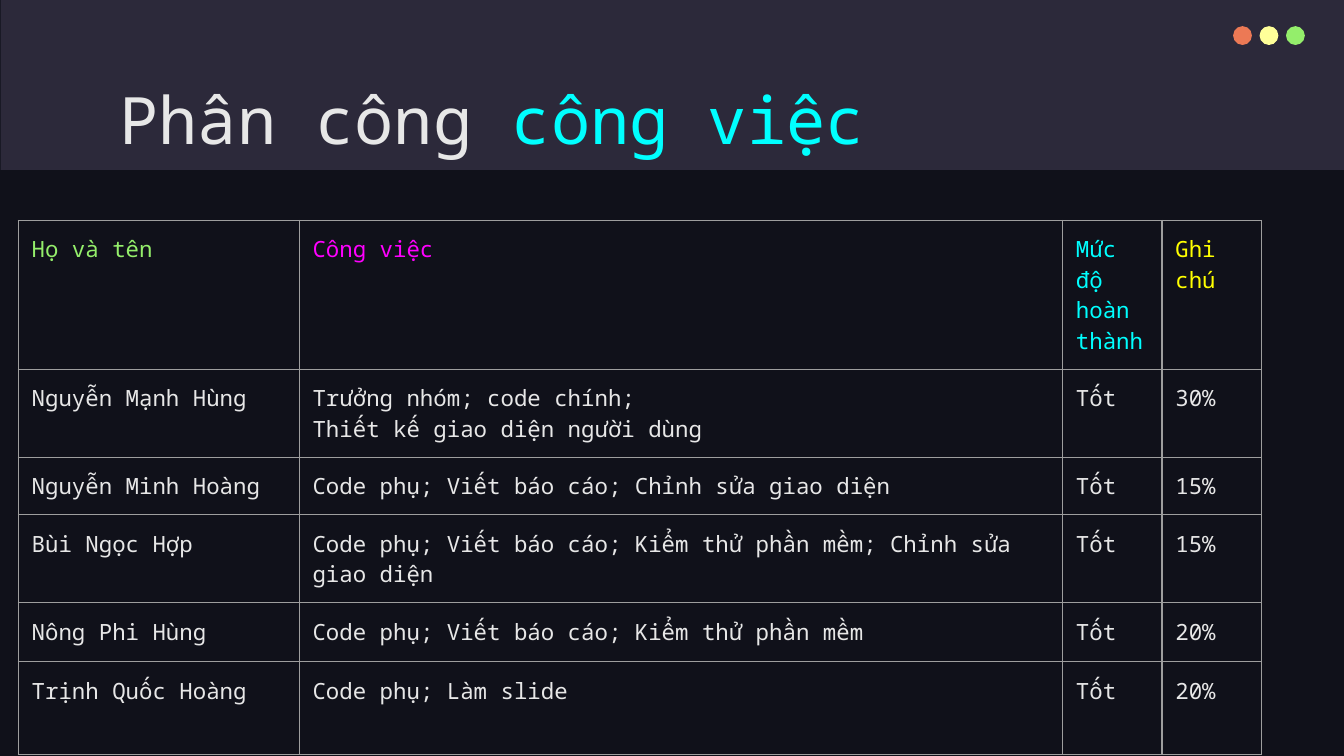
from lxml.etree import SubElement
from pptx import Presentation
from pptx.dml.color import RGBColor
from pptx.enum.shapes import MSO_SHAPE
from pptx.enum.text import MSO_ANCHOR
from pptx.oxml.ns import qn
from pptx.util import Inches, Pt

COLORS = {
    "background": "10111A", "band": "2C293A", "text": "E7E7E7", "border": "9E9E9E",
    "orange": "EC7955", "cream": "FFFF99", "green": "94EE6B",
    "cyan": "00FFFF", "magenta": "FF00FF", "yellow": "FFFF00",
}
GRID_COLUMNS, GRID_ROWS = 100, 56.25
HEADERS = [
    ("Họ và tên", "green"), ("Công việc", "magenta"),
    ("Mức độ\nhoàn thành", "cyan"), ("Ghi chú", "yellow"),
]
MEMBERS = [
    ("Nguyễn Mạnh Hùng", "Trưởng nhóm; code chính;\nThiết kế giao diện người dùng", "30%"),
    ("Nguyễn Minh Hoàng", "Code phụ; Viết báo cáo; Chỉnh sửa giao diện", "15%"),
    ("Bùi Ngọc Hợp", "Code phụ; Viết báo cáo; Kiểm thử phần mềm; Chỉnh sửa giao diện", "15%"),
    ("Nông Phi Hùng", "Code phụ; Viết báo cáo; Kiểm thử phần mềm", "20%"),
    ("Trịnh Quốc Hoàng", "Code phụ; Làm slide", "20%"),
]


class SlideBuilder:
    """Holds the style and the current slide, with lengths in grid columns and rows."""

    def __init__(self, presentation):
        self.column = presentation.slide_width / GRID_COLUMNS
        self.row = presentation.slide_height / GRID_ROWS
        self.font_name = "Noto Sans Mono"
        self.margins = {f"margin_{side}": Inches(0.1) for side in ("left", "right", "top", "bottom")}
        self.slide = presentation.slides.add_slide(presentation.slide_layouts[6])
        self.paint(self.slide.background.fill, "background")

    def place(self, left, top, width, height):
        return (round(left * self.column), round(top * self.row),
                round(width * self.column), round(height * self.row))

    def paint(self, fill, color):
        fill.solid()
        fill.fore_color.rgb = RGBColor.from_string(COLORS[color])

    def apply(self, target, values):
        for name, value in values.items():
            setattr(target, name, value)

    def style(self, font, size, color):
        self.apply(font, {"name": self.font_name, "size": Pt(size)})
        font.color.rgb = RGBColor.from_string(COLORS[color])

    def shape(self, kind, box, color):
        shape = self.slide.shapes.add_shape(kind, *self.place(*box))
        shape.shadow.inherit = False
        shape.line.fill.background()
        self.paint(shape.fill, color)

    def title(self, box, parts, size):
        frame = self.slide.shapes.add_textbox(*self.place(*box)).text_frame
        self.apply(frame, {"word_wrap": True, "vertical_anchor": MSO_ANCHOR.TOP, **self.margins})
        for text, color in parts:
            run = frame.paragraphs[0].add_run()
            run.text = text
            self.style(run.font, size, color)

    def cell(self, cell, text, color, size):
        self.apply(cell, {"text": text, "vertical_anchor": MSO_ANCHOR.TOP, **self.margins})
        for paragraph in cell.text_frame.paragraphs:
            for run in paragraph.runs:
                self.style(run.font, size, color)
        properties = cell._tc.get_or_add_tcPr()
        for side in ("lnL", "lnR", "lnT", "lnB"):
            line = SubElement(properties, qn(f"a:{side}"), w=str(Pt(0.75)))
            fill = SubElement(line, qn("a:solidFill"))
            SubElement(fill, qn("a:srgbClr"), val=COLORS["border"])
        cell.fill.background()

    def table(self, left, top, widths, heights, rows, size):
        box = self.place(left, top, sum(widths), sum(heights))
        table = self.slide.shapes.add_table(len(rows), len(widths), *box).table
        self.apply(table, {"first_row": False, "horz_banding": False})
        for column, width in zip(table.columns, widths):
            column.width = round(width * self.column)
        for row, height, values in zip(table.rows, heights, rows):
            row.height = round(height * self.row)
            for cell, (text, color) in zip(row.cells, values):
                self.cell(cell, text, color, size)


def main():
    presentation = Presentation()
    presentation.slide_width = Inches(10)
    presentation.slide_height = presentation.slide_width * 9 // 16
    builder = SlideBuilder(presentation)
    builder.shape(MSO_SHAPE.RECTANGLE, (0.05, 0, 99.95, 12.65), "band")
    for index, color in enumerate(("orange", "cream", "green")):
        builder.shape(MSO_SHAPE.OVAL, (91.75 + 1.97 * index, 1.95, 1.4, 1.4), color)
    builder.title((7.9, 4.9, 84.3, 6.3), [("Phân công ", "text"), ("công việc", "cyan")], 35)
    members = [[(text, "text") for text in (name, work, "Tốt", share)]
               for name, work, share in MEMBERS]
    builder.table(1.36, 16.4, (20.9, 56.8, 7.4, 7.4), (11.1, 6.55, 4.25, 6.55, 4.4, 6.9),
                  [HEADERS, *members], 12)
    presentation.save("out.pptx")


if __name__ == "__main__":
    main()
